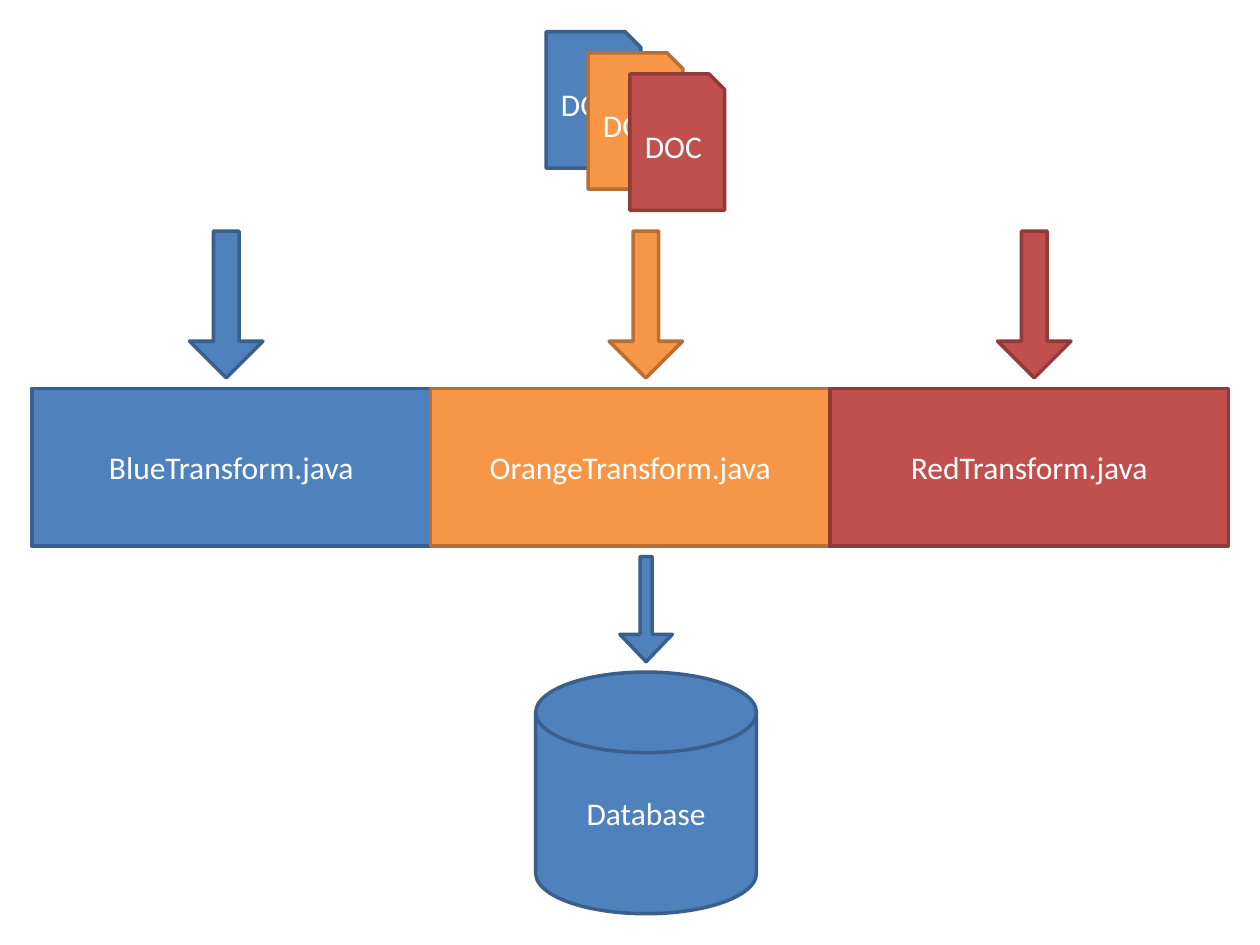
from pptx import Presentation
from pptx.dml.color import RGBColor
from pptx.enum import shapes, text
from pptx.util import Cm, Pt

KIND = shapes.MSO_SHAPE
COLORS = {
    "blue": "4F81BD", "blue_edge": "3A5F8C",
    "orange": "F79646", "orange_edge": "B76F34",
    "red": "C0504D", "red_edge": "8E3B39",
    "label": "FFFFFF",
}
LANES = ["blue", "orange", "red"]


def add_part(page, kind, box, color, label=None):
    """Add one filled, outlined shape in a box of centimetres."""
    part = page.shapes.add_shape(kind, *(Cm(length) for length in box))
    part.shadow.inherit = False
    part.fill.solid()
    part.fill.fore_color.rgb = RGBColor.from_string(COLORS[color])
    part.line.color.rgb = RGBColor.from_string(COLORS[color + "_edge"])
    part.line.width = Pt(2)
    if label:
        frame = part.text_frame
        frame.word_wrap = True
        frame.vertical_anchor = text.MSO_ANCHOR.MIDDLE
        para = frame.paragraphs[0]
        para.alignment = text.PP_ALIGN.CENTER
        span = para.add_run()
        span.text = label
        span.font.name = "Calibri"
        span.font.size = Pt(18)
        span.font.color.rgb = RGBColor.from_string(COLORS["label"])
    return part


def add_down_arrow(page, box, color, shaft, head):
    """Fill an upright box with a right arrow turned to point down."""
    left, top, width, height = box
    shift = (height - width) / 2
    arrow = add_part(page, KIND.RIGHT_ARROW, (left - shift, top + shift, height, width), color)
    arrow.rotation = 90
    arrow.adjustments[0] = shaft
    arrow.adjustments[1] = head


def add_documents(page, box):
    """Stack the overlapping documents diagonally across the box."""
    left, top, width, height = box
    sheet_width, sheet_height = 1.91, 2.75
    step_x = (width - sheet_width) / (len(LANES) - 1)
    step_y = (height - sheet_height) / (len(LANES) - 1)
    for index, color in enumerate(LANES):
        sheet = (left + index * step_x, top + index * step_y, sheet_width, sheet_height)
        add_part(page, KIND.SNIP_1_RECTANGLE, sheet, color, "DOC")


def add_lane_arrows(page, box):
    """Drop one arrow per lane at its centre within the box."""
    left, top, width, height = box
    arrow_width = 1.48
    for color, centre in zip(LANES, [3.92, 12.38, 20.21]):
        arrow = (left + centre - arrow_width / 2, top, arrow_width, height)
        add_down_arrow(page, arrow, color, 0.35, 0.5)


def add_transforms(page, box):
    """Divide the box into equal transform blocks."""
    left, top, width, height = box
    block_width = width / len(LANES)
    for index, color in enumerate(LANES):
        block = (left + index * block_width, top, block_width, height)
        add_part(page, KIND.RECTANGLE, block, color, f"{color.title()}Transform.java")


def add_database(page, box):
    """Place the outgoing arrow above the database cylinder."""
    left, top, width, height = box
    arrow_width, arrow_height, cylinder_height = 1.06, 2.12, 4.87
    arrow = (left + (width - arrow_width) / 2, top, arrow_width, arrow_height)
    add_down_arrow(page, arrow, "blue", 0.23, 0.52)
    cylinder = (left, top + height - cylinder_height, width, cylinder_height)
    add_part(page, KIND.FLOWCHART_MAGNETIC_DISK, cylinder, "blue", "Database")


def main():
    """Build the transformation flow slide."""
    deck = Presentation()
    deck.slide_width, deck.slide_height = Cm(25.4), Cm(19.05)
    page = deck.slides.add_slide(deck.slide_layouts[6])
    add_documents(page, (11.01, 0.64, 3.6, 3.6))
    add_lane_arrows(page, (0.64, 4.66, 24.13, 2.96))
    add_transforms(page, (0.64, 7.83, 24.13, 3.18))
    add_database(page, (10.8, 11.22, 4.45, 7.2))
    deck.save("out.pptx")


if __name__ == "__main__":
    main()
